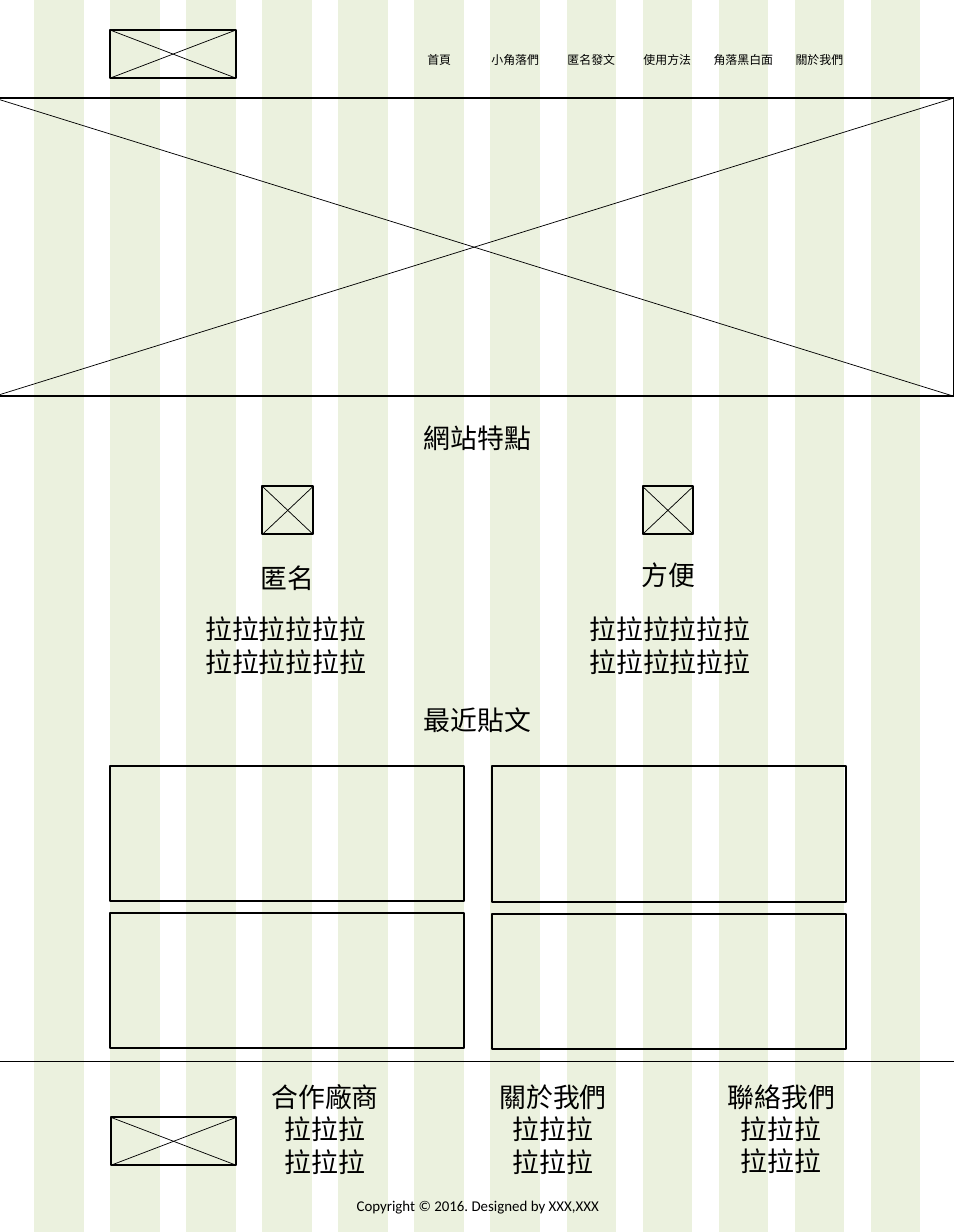
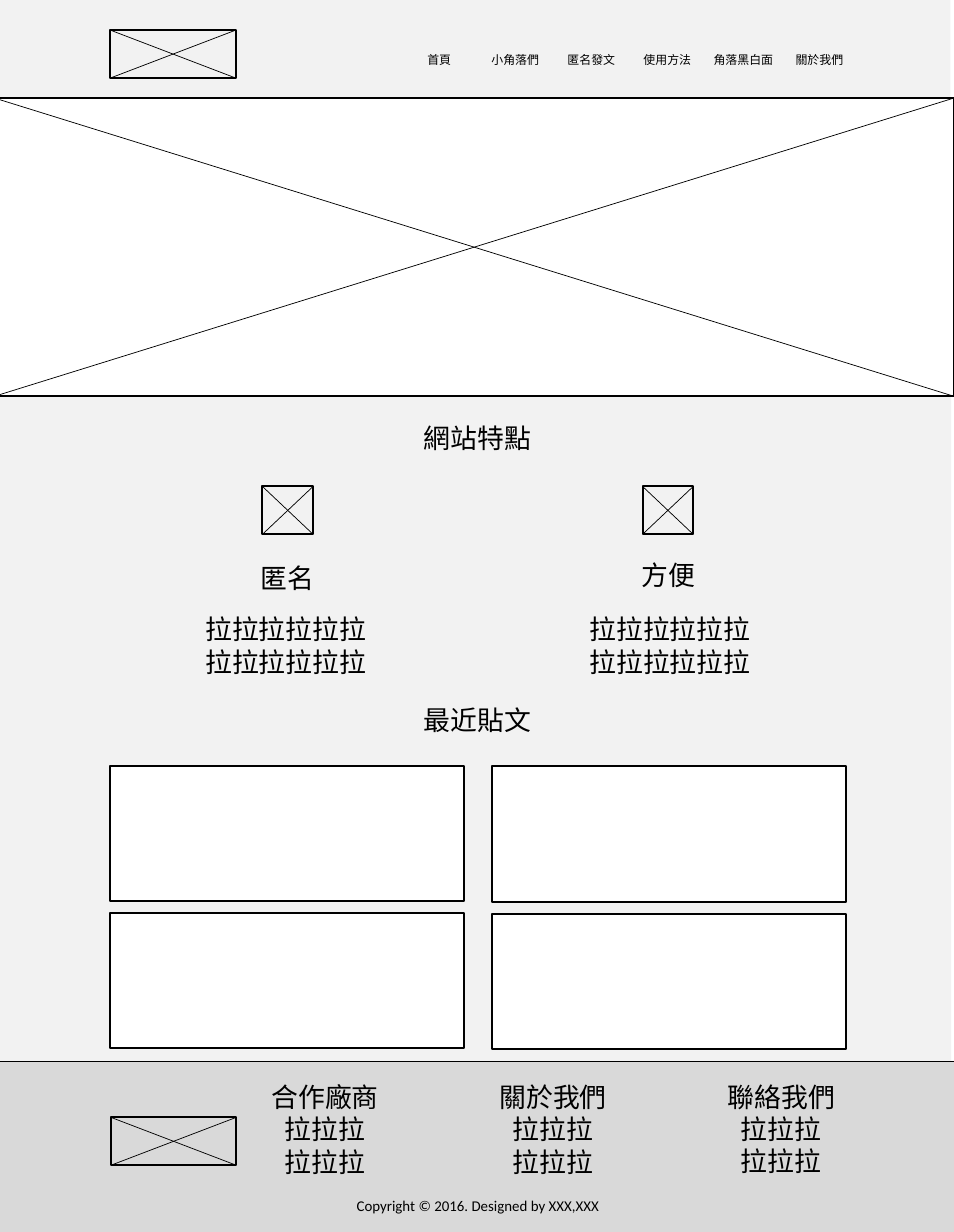
"""Build two web page wireframes: one on a column grid, one on grey bands."""
from dataclasses import dataclass
from typing import Any

from lxml import etree
from pptx import Presentation
from pptx import util as u
from pptx.dml import color
from pptx.enum import shapes, text
from pptx.oxml import ns

WIDE, HIGH = 33.88, 43.74
START, PITCH, STRIPE = 1.22, 2.7, 1.75
FONT = "Calibri"
HUES = {"ink": "000000", "paper": "FFFFFF", "stripe": "EBF1DE",
        "band": "F2F2F2", "foot": "D9D9D9"}
RECT = shapes.MSO_SHAPE.RECTANGLE
FLOW = shapes.MSO_SHAPE.FLOWCHART_PROCESS


@dataclass(frozen=True)
class Box:
    x: float
    y: float
    w: float
    h: float


@dataclass(frozen=True)
class Label:
    words: str
    box: Box
    size: int = 27


def col(num: int) -> float:
    return START + num * PITCH


def hue(name: str) -> color.RGBColor:
    return color.RGBColor.from_string(HUES[name])


FRAMES = [
    Box(col(1), 1.07, 4.45, 1.7),
    Box(-0.2, 3.48, 34.08, 10.59),
    Box(col(3), 17.27, 1.8, 1.7),
    Box(col(8), 17.27, 1.8, 1.7),
    Box(3.94, 39.67, 4.45, 1.7),
]
CARDS = [Box(x, y + dy, 12.55, 4.8)
         for y in (27.18, 32.42) for x, dy in ((col(1), 0), (17.48, 0.03))]
BANDS = [
    ("band", Box(-0.13, 0, WIDE, 3.48)),
    ("band", Box(-0.1, 14.07, WIDE, 23.6)),
    ("foot", Box(0, 37.69, WIDE, 6.05)),
]
STRIPES = [("stripe", Box(col(num), 0, STRIPE, HIGH)) for num in range(12)]
BODY = "拉" * 12
LINES = "\n拉拉拉\n拉拉拉"
TABS = ["首頁", "小角落們", "匿名發文", "使用方法", "角落黑白面", "關於我們"]
LABELS = [
    Label("網站特點", Box(14.73, 14.86, 4.45, 1.42)),
    Label("匿名", Box(7.98, 19.81, 4.45, 1.42)),
    Label("方便", Box(21.51, 19.71, 4.45, 1.42)),
    Label(BODY, Box(6.58, 21.64, 7.14, 2.57)),
    Label(BODY, Box(20.22, 21.64, 7.14, 2.57)),
    Label("最近貼文", Box(14.73, 24.87, 4.45, 1.42)),
    Label("合作廠商" + LINES, Box(col(3), 38.25, 4.45, 3.71)),
    Label("關於我們" + LINES, Box(col(6), 38.25, 4.45, 3.71)),
    Label("聯絡我們" + LINES, Box(col(9), 38.23, 4.45, 3.71)),
    Label("Copyright © 2016. Designed by XXX,XXX",
          Box(9.35, 42.37, 15.24, 0.89), 15),
] + [Label(tab, Box(14.25 + num * PITCH, 1.73, PITCH, 0.76), 12)
     for num, tab in enumerate(TABS)]


def place(box: Box) -> tuple[u.Cm, u.Cm, u.Cm, u.Cm]:
    return u.Cm(box.x), u.Cm(box.y), u.Cm(box.w), u.Cm(box.h)


def block(tree: Any, box: Box, kind: Any = RECT, fill: str = "",
          line: bool = False) -> None:
    shape = tree.add_shape(kind, *place(box))
    shape.shadow.inherit = False
    if fill:
        shape.fill.solid()
        shape.fill.fore_color.rgb = hue(fill)
    else:
        shape.fill.background()
    if line:
        shape.line.color.rgb = hue("ink")
        shape.line.width = u.Pt(2)
    else:
        shape.line.fill.background()


def rule(tree: Any, x1: float, y1: float, x2: float, y2: float) -> None:
    line = tree.add_connector(shapes.MSO_CONNECTOR.STRAIGHT,
                              u.Cm(x1), u.Cm(y1), u.Cm(x2), u.Cm(y2))
    line.line.color.rgb = hue("ink")
    line.line.width = u.Pt(0.75)
    etree.SubElement(line._element.spPr, ns.qn("a:effectLst"))


def frame(tree: Any, box: Box) -> None:
    group = tree.add_group_shape().shapes
    right, base = box.x + box.w, box.y + box.h
    block(group, box, kind=FLOW, line=True)
    rule(group, box.x, box.y, right, base)
    rule(group, right, box.y, box.x, base)


def write(tree: Any, words: str, box: Box, *, size: int = 27,
          ink: str = "ink") -> None:
    body = tree.add_textbox(*place(box)).text_frame
    body.word_wrap = True
    body.auto_size = text.MSO_AUTO_SIZE.SHAPE_TO_FIT_TEXT
    body.text = words
    for para in body.paragraphs:
        para.alignment = text.PP_ALIGN.CENTER
        for run in para.runs:
            run.font.name = FONT
            run.font.size = u.Pt(size)
            run.font.color.rgb = hue(ink)


def page(tree: Any, fill: str = "") -> None:
    for box in FRAMES:
        frame(tree, box)
    for box in CARDS:
        block(tree, box, fill=fill, line=True)
    rule(tree, 0, 37.67, WIDE, 37.67)
    for label in LABELS:
        write(tree, label.words, label.box, size=label.size)


def main() -> None:
    deck = Presentation()
    deck.slide_width, deck.slide_height = u.Cm(WIDE), u.Cm(HIGH)
    for back, kind, fill in ((STRIPES, FLOW, ""), (BANDS, RECT, "paper")):
        tree = deck.slides.add_slide(deck.slide_layouts[6]).shapes
        for tint, box in back:
            block(tree, box, kind=kind, fill=tint)
        page(tree, fill)
    deck.save("out.pptx")


if __name__ == "__main__":
    main()
